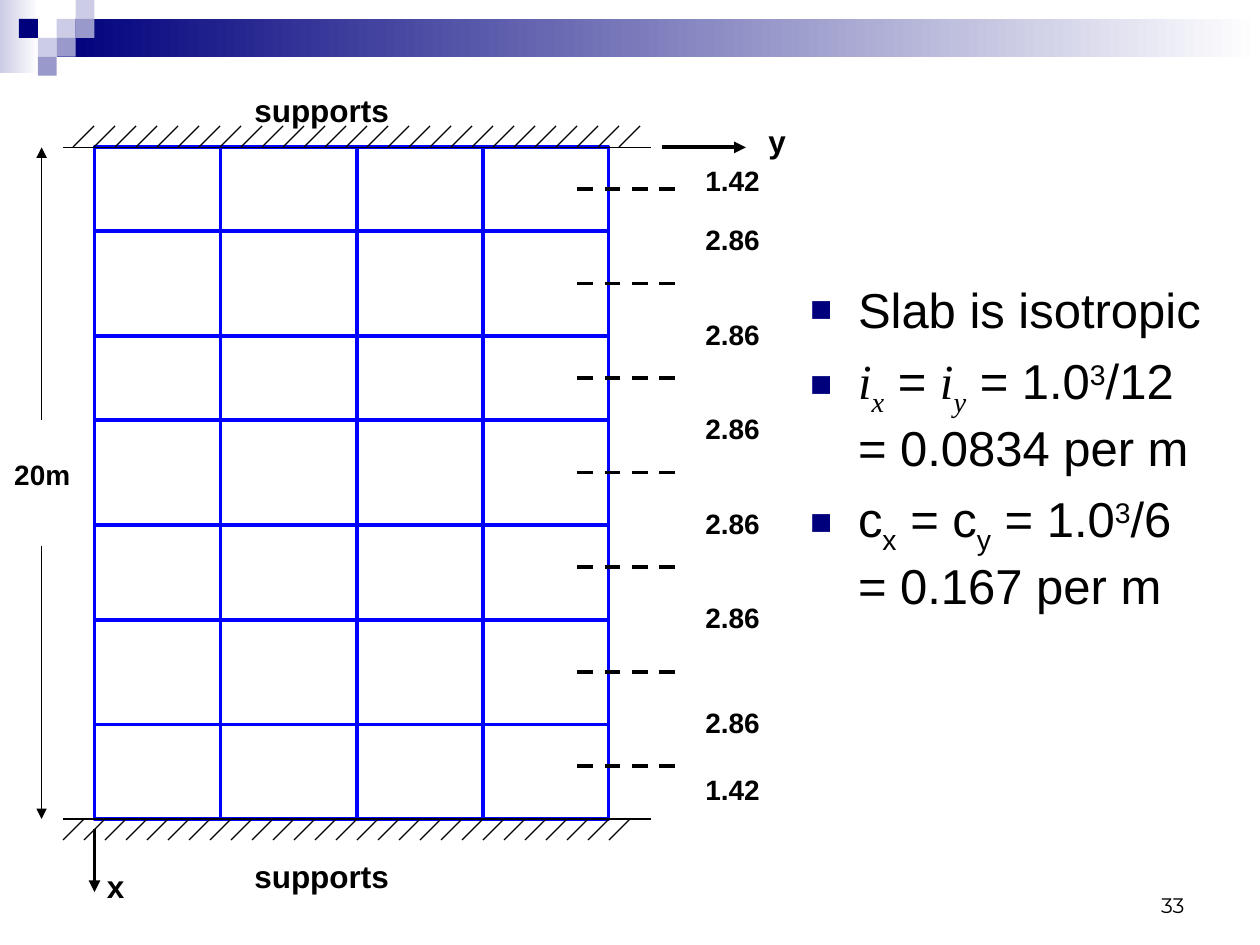
from dataclasses import dataclass

from lxml.etree import SubElement
from pptx import Presentation
from pptx.dml.color import RGBColor
from pptx.enum.dml import MSO_LINE
from pptx.enum.shapes import MSO_CONNECTOR, MSO_SHAPE
from pptx.enum.text import MSO_ANCHOR, MSO_AUTO_SIZE, PP_ALIGN
from pptx.oxml.ns import qn
from pptx.util import Inches, Pt


@dataclass(frozen=True)
class Theme:
    white: str = "FFFFFF"
    black: str = "000000"
    navy: str = "00007D"
    violet: str = "9999CC"
    lavender: str = "CCCCE6"
    grid: str = "0000FF"
    font: str = "Arial"
    math_font: str = "Times New Roman"
    number_font: str = "Montserrat"
    body: int = 28
    caption: int = 18
    dimension: int = 16
    number: int = 12
    thin: float = 0.75
    thick: float = 2.25


THEME = Theme()


def rgb(value):
    return RGBColor.from_string(value)


def set_font(font, size, name=THEME.font, bold=False):
    font.size, font.name, font.bold = Pt(size), name, bold
    font.color.rgb = rgb(THEME.black)


def add_rectangle(slide, left, top, width, height):
    shape = slide.shapes.add_shape(
        MSO_SHAPE.RECTANGLE, Inches(left), Inches(top), Inches(width), Inches(height))
    shape.shadow.inherit = False
    return shape


def add_line(slide, start, end, color=THEME.black, weight=THEME.thin,
             dashed=False, arrow=False):
    points = [Inches(value) for value in (*start, *end)]
    line = slide.shapes.add_connector(MSO_CONNECTOR.STRAIGHT, *points)
    line.line.color.rgb = rgb(color)
    line.line.width = Pt(weight)
    if dashed:
        line.line.dash_style = MSO_LINE.DASH
    if arrow:
        SubElement(line.line._get_or_add_ln(), qn("a:tailEnd"), type="triangle")
    SubElement(line._element.spPr, qn("a:effectLst"))


def add_label(slide, text, left, top, width, height, size,
              name=THEME.font, bold=True, align=PP_ALIGN.LEFT, anchor=MSO_ANCHOR.TOP):
    box = slide.shapes.add_textbox(Inches(left), Inches(top), Inches(width), Inches(height))
    frame = box.text_frame
    frame.word_wrap = True
    frame.vertical_anchor = anchor
    frame.text = text
    paragraph = frame.paragraphs[0]
    paragraph.alignment = align
    set_font(paragraph.runs[0].font, size, name, bold)


def add_header(slide, left, top, width):
    # Fading bands
    bands = ((0, 0, 0.31, 0.58, THEME.lavender),
             (0.45, 0.15, width - 0.45, 0.3, THEME.navy))
    for x, y, band_width, band_height, color in bands:
        band = add_rectangle(slide, left + x, top + y, band_width, band_height)
        band.line.fill.background()
        band.fill.gradient()
        band.fill.gradient_angle = 0
        for stop, stop_color in zip(band.fill.gradient_stops, (color, THEME.white)):
            stop.color.rgb = rgb(stop_color)

    # Mosaic of squares, by column and row
    side = 0.15
    tiles = ((3, 1, THEME.lavender), (4, 0, THEME.lavender), (4, 1, THEME.violet),
             (2, 2, THEME.lavender), (1, 1, THEME.navy), (3, 2, THEME.violet),
             (2, 3, THEME.violet))
    for column, row, color in tiles:
        tile = add_rectangle(slide, left + column * side, top + row * side, side, side)
        tile.fill.solid()
        tile.fill.fore_color.rgb = rgb(color)
        tile.line.fill.background()


def add_support(slide, left, top, width, hatch_left, hatch_top):
    add_line(slide, (left, top), (left + width, top))
    step = 1 / 6
    for index in range(27):
        x = hatch_left + index * step
        add_line(slide, (x + step, hatch_top), (x, hatch_top + step))


def add_slab(slide, left, top, width, height):
    right, bottom = left + width, top + height

    # Slab outline and grillage members
    outline = add_rectangle(slide, left, top, width, height)
    outline.fill.background()
    outline.line.color.rgb = rgb(THEME.grid)
    outline.line.width = Pt(THEME.thick)
    for x in (1, 2.08, 3.08):
        add_line(slide, (left + x, top), (left + x, bottom), THEME.grid, THEME.thick)
    for y in (0.66, 1.5, 2.16, 3, 3.75, 4.58):
        add_line(slide, (left, top + y), (right, top + y), THEME.grid, THEME.thick)

    # Supports at both ends
    add_support(slide, left - 0.25, top, 4.67, left - 0.17, top - 0.17)
    add_support(slide, left - 0.25, bottom, 4.67, left - 0.25, bottom)
    for y in (top - 0.5, bottom + 0.25):
        add_label(slide, "supports", left + 1.17, y, 1.42, 0.4, THEME.caption)

    # Span dimension
    x = left - 0.42
    add_line(slide, (x, top + 2.16), (x, top), arrow=True)
    add_line(slide, (x, top + 3.16), (x, bottom), arrow=True)
    add_label(slide, "20m", left - 0.75, top + 2.41, 0.67, 0.37,
              THEME.dimension, align=PP_ALIGN.CENTER)

    # Axes
    add_line(slide, (left, bottom + 0.08), (left, bottom + 0.58),
             weight=THEME.thick, arrow=True)
    add_line(slide, (right + 0.42, top), (right + 1.09, top),
             weight=THEME.thick, arrow=True)
    add_label(slide, "y", right + 1.17, top - 0.25, 0.42, 0.4, THEME.caption)
    add_label(slide, "x", left, bottom + 0.33, 0.42, 0.4, THEME.caption)

    # Strip boundaries, each strip labelled just below its upper boundary
    boundaries = (0.33, 1.08, 1.83, 2.58, 3.33, 4.16, 4.91)
    for y in boundaries:
        add_line(slide, (right - 0.25, top + y), (right + 0.59, top + y),
                 weight=THEME.thick, dashed=True)
    strips = [("1.42", 0.08), *(("2.86", y + 0.22) for y in boundaries[:-1]), ("1.42", 4.91)]
    for text, y in strips:
        add_label(slide, text, right + 0.67, top + y, 0.67, 0.37, THEME.dimension)


def format_bullet(paragraph):
    properties = paragraph._p.get_or_add_pPr()
    properties.set("marL", str(Inches(0.38)))
    properties.set("indent", str(-Inches(0.38)))
    color = SubElement(properties, qn("a:buClr"))
    SubElement(color, qn("a:srgbClr"), val=THEME.navy)
    SubElement(properties, qn("a:buSzPct"), val="75000")
    SubElement(properties, qn("a:buFont"), typeface=THEME.font)
    SubElement(properties, qn("a:buChar"), char="■")


def add_properties(slide, left, top, width, height):
    body = slide.placeholders[1]
    body.left, body.top = Inches(left), Inches(top)
    body.width, body.height = Inches(width), Inches(height)
    frame = body.text_frame
    frame.auto_size = MSO_AUTO_SIZE.NONE

    # Each run is its text, baseline shift in percent, and whether it is a math symbol
    items = (
        (("Slab is isotropic", 0, False),),
        (("i", 0, True), ("x", -25, True), (" = ", 0, False), ("i", 0, True),
         ("y", -25, True), (" = 1.0", 0, False), ("3", 30, False),
         ("/12 = 0.0834 per m", 0, False)),
        (("c", 0, False), ("x", -25, False), (" = c", 0, False), ("y", -25, False),
         (" = 1.0", 0, False), ("3", 30, False), ("/6 = 0.167 per m", 0, False)),
    )
    for index, runs in enumerate(items):
        paragraph = frame.add_paragraph() if index else frame.paragraphs[0]
        format_bullet(paragraph)
        paragraph.space_before = Pt(7 if index else 0)
        for text, baseline, symbol in runs:
            run = paragraph.add_run()
            run.text = text
            set_font(run.font, THEME.body, THEME.math_font if symbol else THEME.font)
            run.font.italic = symbol
            if baseline:
                run.font._element.set("baseline", str(baseline * 1000))


def main():
    presentation = Presentation()
    presentation.slide_width, presentation.slide_height = Inches(10), Inches(7.5)
    slide = presentation.slides.add_slide(presentation.slide_layouts[1])
    title = slide.shapes.title._element
    title.getparent().remove(title)

    add_header(slide, 0, 0, 10)
    add_properties(slide, 6.33, 2.17, 3.33, 3.83)
    add_slab(slide, 0.75, 1.17, 4.08, 5.33)
    add_label(slide, "33", 7.17, 6.83, 2.33, 0.5, THEME.number, THEME.number_font,
              bold=False, align=PP_ALIGN.RIGHT, anchor=MSO_ANCHOR.BOTTOM)
    presentation.save("out.pptx")


if __name__ == "__main__":
    main()
